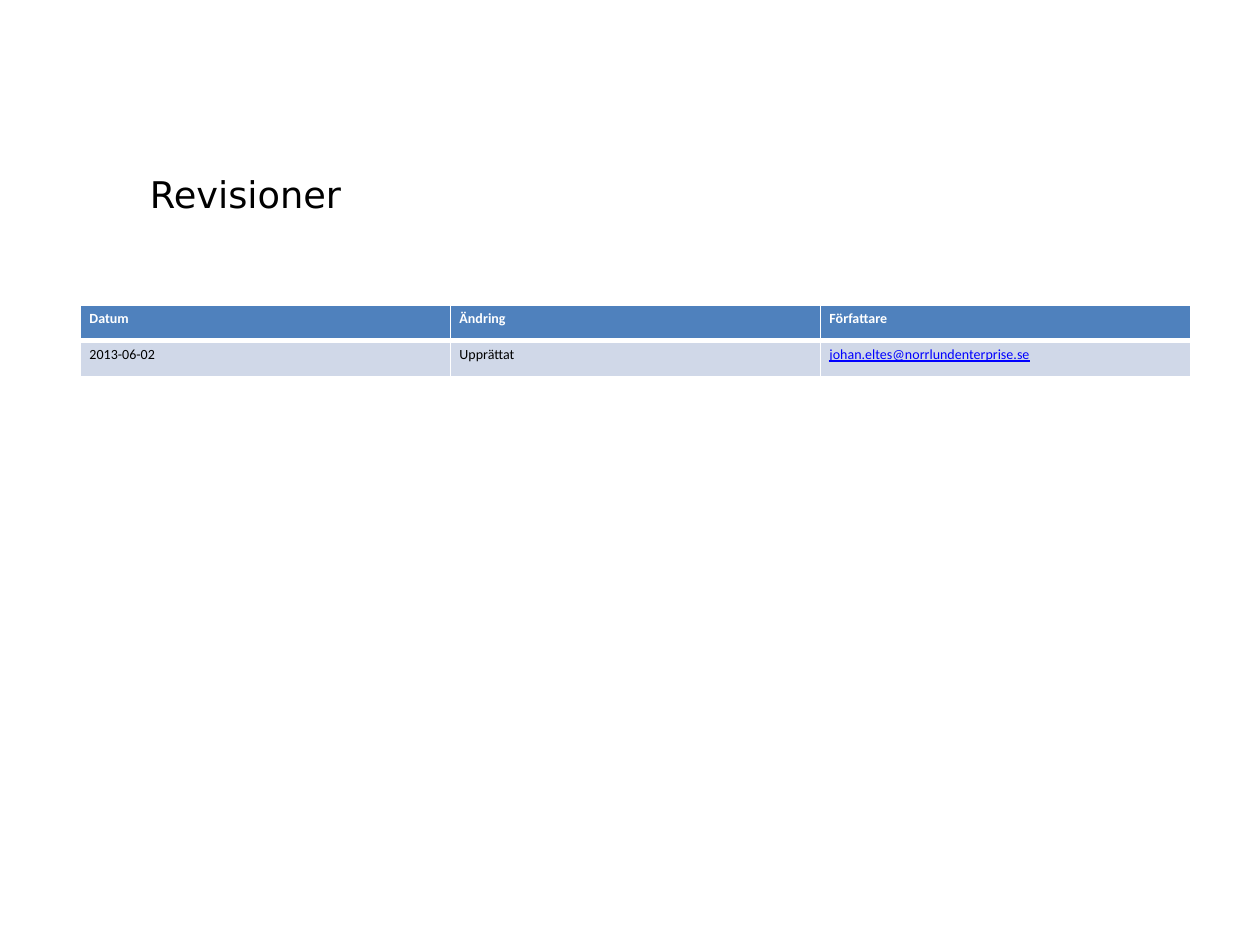
from lxml import etree
from pptx import Presentation
from pptx.dml.color import RGBColor
from pptx.enum import text
from pptx.oxml import ns
from pptx.util import Inches, Pt

COLORS = {"white": "FFFFFF", "black": "000000", "header": "4F81BD",
          "row": "D0D8E8", "link": "0000FF"}
ROWS = [["Datum", "Ändring", "Författare"],
        ["2013-06-02", "Upprättat", "johan.eltes@norrlundenterprise.se"]]


def format_run(run, font_name, size, color):
    run.font.name = font_name
    run.font.size = Pt(size)
    run.font.color.rgb = RGBColor.from_string(COLORS[color])


def add_border(cell, side, width):
    line = etree.SubElement(cell._tc.get_or_add_tcPr(), ns.qn(f"a:ln{side}"), w=str(Pt(width)))
    fill = etree.SubElement(line, ns.qn("a:solidFill"))
    etree.SubElement(fill, ns.qn("a:srgbClr"), val=COLORS["white"])


presentation = Presentation()
presentation.slide_width = Inches(10)
presentation.slide_height = Inches(7.5)
slide = presentation.slides.add_slide(presentation.slide_layouts[5])

title = slide.shapes.title
title.left, title.top = Inches(1.09), Inches(1.11)
title.width, title.height = Inches(8.36), Inches(0.85)
title.text_frame.text = "Revisioner"
title.text_frame.vertical_anchor = text.MSO_ANCHOR.MIDDLE
paragraph = title.text_frame.paragraphs[0]
paragraph.alignment = text.PP_ALIGN.LEFT
format_run(paragraph.runs[0], "DejaVu Sans", 21, "black")

table = slide.shapes.add_table(2, 3, Inches(0.64), Inches(2.42), Inches(8.81), Inches(0.57)).table
for row_index, values in enumerate(ROWS):
    is_header = row_index == 0
    for column_index, value in enumerate(values):
        cell = table.cell(row_index, column_index)
        cell.margin_left = cell.margin_right = Inches(0.07)
        cell.margin_top = cell.margin_bottom = Inches(0.04)
        for side in "LRTB":
            between_rows = side == ("B" if is_header else "T")
            add_border(cell, side, 3 if between_rows else 1)
        cell.fill.solid()
        cell.fill.fore_color.rgb = RGBColor.from_string(COLORS["header" if is_header else "row"])
        cell.text_frame.text = value
        run = cell.text_frame.paragraphs[0].runs[0]
        is_address = "@" in value
        format_run(run, "Calibri", 8, "white" if is_header else "link" if is_address else "black")
        run.font.bold = is_header
        run.font.underline = is_address

presentation.save("out.pptx")
